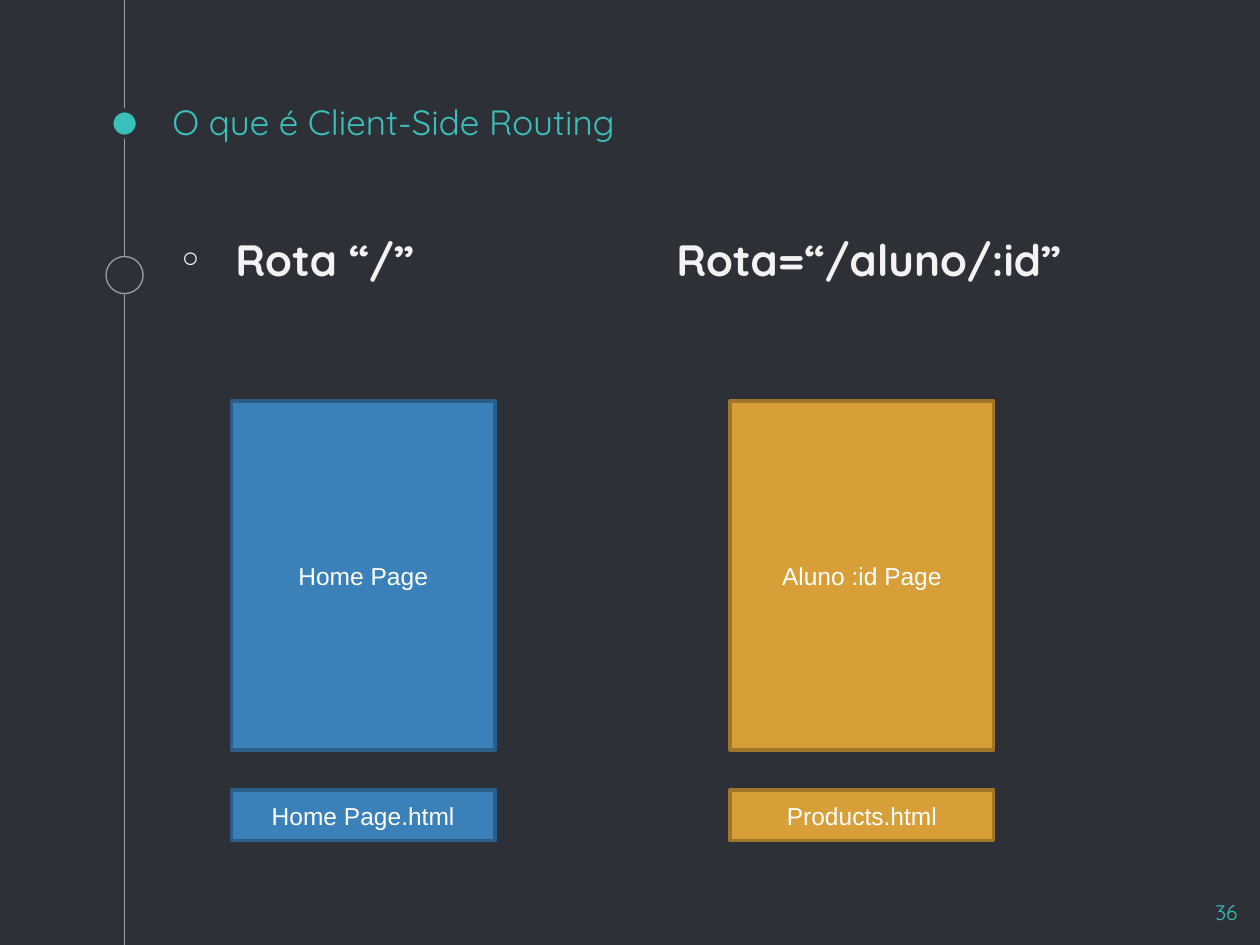
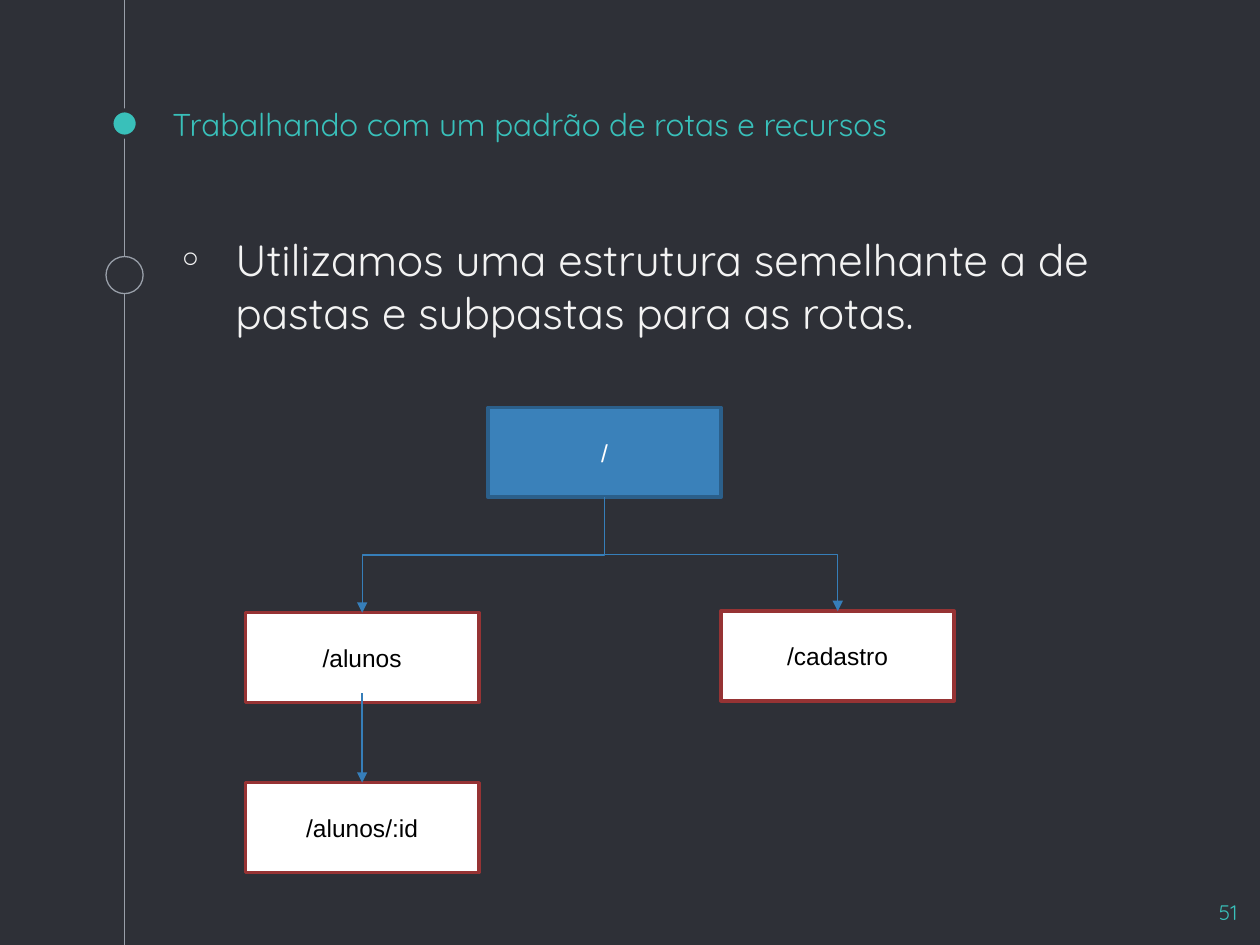
"""Build two slides on client-side routing and route paths."""
from dataclasses import dataclass

from lxml.etree import SubElement
from pptx import Presentation
from pptx.dml.color import RGBColor
from pptx.enum.shapes import MSO_CONNECTOR, MSO_SHAPE
from pptx.enum.text import MSO_ANCHOR, PP_ALIGN
from pptx.oxml.ns import qn
from pptx.util import Pt

DARK, TEAL, GREY, PALE = "2E3037", "39C0BA", "999FA9", "F3F3F3"
WHITE, BLACK, ARROW = "FFFFFF", "000000", "367EB9"
HEAD_FONT, BOX_FONT = "Quicksand", "Arial"
RAIL = 71.2


@dataclass(frozen=True)
class Skin:
    """Hold the colours of a box."""
    fill: str
    edge: str
    ink: str = WHITE


@dataclass(frozen=True)
class Box:
    """Hold the text, place and skin of a box."""
    text: str
    left: float
    top: float
    width: float
    height: float
    skin: Skin

    @property
    def mid(self) -> float:
        """Give the centre across."""
        return self.left + self.width / 2

    @property
    def foot(self) -> float:
        """Give the lower edge."""
        return self.top + self.height


@dataclass(frozen=True)
class Label:
    """Hold the text, place and style of a text box."""
    text: str
    left: float
    top: float
    width: float
    height: float
    size: float
    ink: str = PALE
    bold: bool = False
    bullet: bool = False
    space: float = 0
    align: PP_ALIGN = PP_ALIGN.LEFT
    anchor: MSO_ANCHOR = MSO_ANCHOR.TOP


BLUE = Skin("3A81BA", "2B5F8A")
GOLD = Skin("D89F39", "A0762A")
PLAIN = Skin(WHITE, "963334", BLACK)


def paint(part, colour: str) -> None:
    """Give a fill a solid colour."""
    part.solid()
    part.fore_color.rgb = RGBColor.from_string(colour)


def style(par, font: str, size: float, ink: str, bold: bool = False) -> None:
    """Format all runs of a paragraph."""
    for run in par.runs:
        run.font.name = font
        run.font.size = Pt(size)
        run.font.bold = bold
        paint(run.font.fill, ink)


def add_form(slide, kind, left: float, top: float, width: float,
             height: float, fill: str, edge: str, weight: float):
    """Draw a filled shape with an edge."""
    form = slide.shapes.add_shape(kind, Pt(left), Pt(top), Pt(width), Pt(height))
    form.shadow.inherit = False
    paint(form.fill, fill)
    paint(form.line.fill, edge)
    form.line.width = Pt(weight)
    return form


def add_box(slide, box: Box) -> None:
    """Draw a box with centred text."""
    form = add_form(slide, MSO_SHAPE.RECTANGLE, box.left, box.top, box.width,
                    box.height, box.skin.fill, box.skin.edge, 2)
    frame = form.text_frame
    frame.text = box.text
    frame.word_wrap = True
    frame.vertical_anchor = MSO_ANCHOR.MIDDLE
    frame.paragraphs[0].alignment = PP_ALIGN.CENTER
    style(frame.paragraphs[0], BOX_FONT, 14, box.skin.ink)


def add_dot(slide, top: float, size: float, fill: str, edge: str,
            weight: float) -> None:
    """Draw a dot centred on the rail."""
    add_form(slide, MSO_SHAPE.OVAL, RAIL - size / 2, top, size, size,
             fill, edge, weight)


def add_label(slide, label: Label) -> None:
    """Draw a text box."""
    area = slide.shapes.add_textbox(Pt(label.left), Pt(label.top),
                                    Pt(label.width), Pt(label.height))
    frame = area.text_frame
    frame.text = label.text
    frame.word_wrap = True
    frame.vertical_anchor = label.anchor
    frame.margin_left = frame.margin_right = Pt(7.2)
    frame.margin_top = frame.margin_bottom = Pt(7.2)
    par = frame.paragraphs[0]
    par.alignment = label.align
    par.space_before = Pt(label.space)
    style(par, HEAD_FONT, label.size, label.ink, label.bold)
    if label.bullet:
        props = par._p.get_or_add_pPr()
        props.set("marL", str(Pt(36)))
        props.set("indent", str(Pt(-33)))
        tint = SubElement(props, qn("a:buClr"))
        SubElement(tint, qn("a:srgbClr"), val=label.ink)
        SubElement(props, qn("a:buFont"), typeface=HEAD_FONT)
        SubElement(props, qn("a:buChar"), char="◦")


def add_line(slide, kind, x1: float, y1: float, x2: float, y2: float,
             colour: str, head: bool = False):
    """Draw a thin line, with an arrowhead if asked."""
    line = slide.shapes.add_connector(kind, Pt(x1), Pt(y1), Pt(x2), Pt(y2))
    paint(line.line.fill, colour)
    line.line.width = Pt(0.75)
    if head:
        SubElement(line.line._get_or_add_ln(), qn("a:tailEnd"), type="triangle")
    SubElement(line._element.spPr, qn("a:effectLst"))
    return line


def add_bend(slide, start: Box, end: Box) -> None:
    """Draw an elbow arrow that leaves a box downwards."""
    drop, shift = end.top - start.foot, end.mid - start.mid
    x, y = (start.mid + end.mid) / 2, (start.foot + end.top) / 2
    side = drop / 2 if shift > 0 else -drop / 2
    rise = abs(shift) / 2
    line = add_line(slide, MSO_CONNECTOR.ELBOW, x + side, y - rise,
                    x - side, y + rise, ARROW, True)
    turn = 270 if shift > 0 else 90
    line._element.spPr.find(qn("a:xfrm")).set("rot", str(turn * 60000))


def add_base(deck, title: str, size: float, body: str, page: int,
             bold: bool = False):
    """Add a slide with rail, title, body and page number."""
    slide = deck.slides.add_slide(deck.slide_layouts[6])
    paint(slide.background.fill, DARK)
    add_line(slide, MSO_CONNECTOR.STRAIGHT, RAIL, 0, RAIL, 540, GREY)
    add_dot(slide, 63.1, 15, TEAL, DARK, 2.25)
    add_dot(slide, 146.6, 21.2, DARK, GREY, 0.75)
    add_label(slide, Label(title, 91.5, 52.6, 540, 36, size, TEAL,
                           anchor=MSO_ANCHOR.BOTTOM))
    add_label(slide, Label(body, 91.5, 126, 540, 391, 25, bold=bold,
                           bullet=True, space=6))
    add_label(slide, Label(str(page), 671, 507, 43.2, 33, 12, TEAL,
                           align=PP_ALIGN.RIGHT))
    return slide


def draw_pages(deck) -> None:
    """Draw the slide that pairs routes with pages."""
    slide = add_base(deck, "O que é Client-Side Routing", 20, "Rota “/”", 36, True)
    add_label(slide, Label("Rota=“/aluno/:id”", 379.4, 126, 252, 50, 25,
                           bold=True, space=6))
    pairs = (("Home Page", "Home Page.html", 132.3, BLUE),
             ("Aluno :id Page", "Products.html", 417.3, GOLD))
    for page, file, left, skin in pairs:
        add_box(slide, Box(page, left, 229.2, 150.5, 199.4, skin))
        add_box(slide, Box(file, left, 451.6, 150.5, 28.8, skin))


def draw_tree(deck) -> None:
    """Draw the slide with the tree of routes."""
    slide = add_base(
        deck, "Trabalhando com um padrão de rotas e recursos", 18,
        "Utilizamos uma estrutura semelhante a de pastas e subpastas para as rotas.",
        51)
    wide, high = 133.3, 51.3
    root = Box("/", 278.8, 232.9, wide, high, BLUE)
    list_box = Box("/alunos", 140.3, 350.1, wide, high, PLAIN)
    form_box = Box("/cadastro", 412, 349.2, wide, high, PLAIN)
    item = Box("/alunos/:id", 140.3, 447.3, wide, high, PLAIN)
    for box in (root, list_box, form_box, item):
        add_box(slide, box)
    for child in (list_box, form_box):
        add_bend(slide, root, child)
    add_line(slide, MSO_CONNECTOR.STRAIGHT, item.mid, 396, item.mid,
             item.top, ARROW, True)


def main() -> None:
    """Build and save the deck."""
    deck = Presentation()
    deck.slide_width, deck.slide_height = Pt(720), Pt(540)
    draw_pages(deck)
    draw_tree(deck)
    deck.save("out.pptx")


if __name__ == "__main__":
    main()
